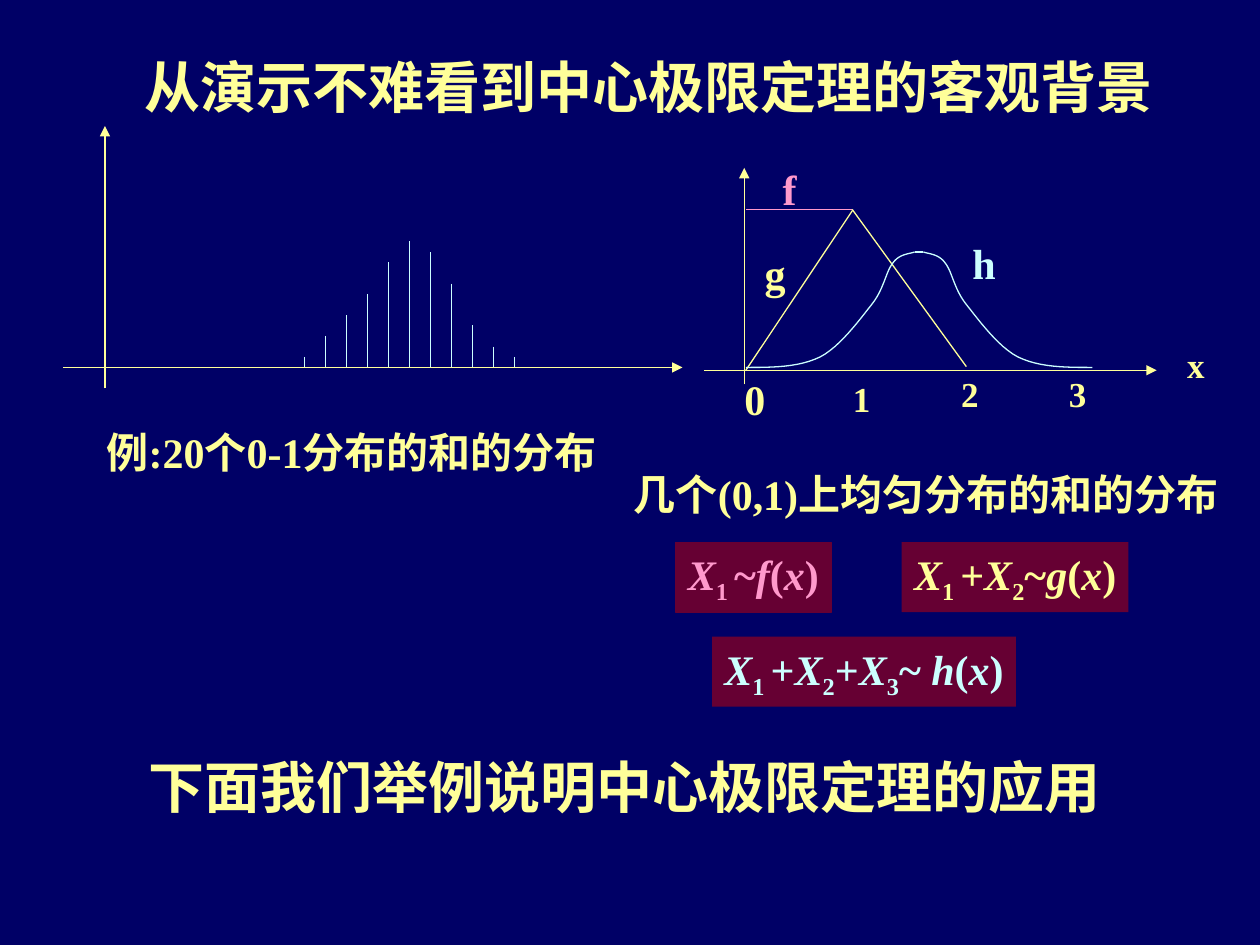
from lxml.etree import SubElement
from pptx import Presentation
from pptx.dml.color import RGBColor
from pptx.enum.shapes import MSO_CONNECTOR, MSO_SHAPE
from pptx.enum.text import MSO_ANCHOR, MSO_AUTO_SIZE, PP_ALIGN
from pptx.oxml.ns import qn
from pptx.util import Pt

NAVY = RGBColor(0x00, 0x00, 0x66)
YELLOW = RGBColor(0xFF, 0xFF, 0x99)
CYAN = RGBColor(0xCC, 0xFF, 0xFF)
PINK = RGBColor(0xFF, 0x99, 0xCC)
WINE = RGBColor(0x66, 0x00, 0x33)
FONT = "Times New Roman"
LINE_WIDTH = 0.75

# text, (left, top, width, height), size, colour
TEXTS = [
    ("从演示不难看到中心极限定理的客观背景", (53.7, 26, 634.5, 46), 32, YELLOW),
    ("下面我们举例说明中心极限定理的应用", (77.8, 426.2, 558.7, 46), 32, YELLOW),
    ("例:20个0-1分布的和的分布", (42.2, 240, 317.5, 36), 24, YELLOW),
    ("几个(0,1)上均匀分布的和的分布", (349.2, 264.4, 360, 36), 24, YELLOW),
    ("0", (418.3, 209.8, 26, 36), 24, YELLOW),
    ("1", (480.2, 212.2, 24.5, 31.5), 20, YELLOW),
    ("2", (542, 209, 24.5, 31.5), 20, YELLOW),
    ("3", (603.5, 209, 24.5, 31.5), 20, YELLOW),
    ("x", (671.2, 192.8, 24.5, 31.5), 20, YELLOW),
    ("f", (440, 90, 22.3, 36), 24, PINK),
    ("g", (430, 137.8, 26, 36), 24, YELLOW),
    ("h", (548.6, 132, 27.4, 36), 24, CYAN),
]

ITALIC, UPRIGHT, SUBSCRIPT = "italic", "upright", "subscript"
X = ("X", ITALIC)
PLUS = ("+", UPRIGHT)
ARGUMENT = [("(", UPRIGHT), ("x", ITALIC), (")", UPRIGHT)]

# runs, (left, top, width, height), colour, outlined
FORMULAS = [
    ([X, ("1 ", SUBSCRIPT), ("~", UPRIGHT), ("f", ITALIC)] + ARGUMENT,
     (386, 309.8, 89, 40), PINK, True),
    ([X, ("1 ", SUBSCRIPT), PLUS, X, ("2", SUBSCRIPT), ("~", UPRIGHT), ("g", ITALIC)] + ARGUMENT,
     (515.3, 309.8, 129.6, 40), YELLOW, False),
    ([X, ("1 ", SUBSCRIPT), PLUS, X, ("2", SUBSCRIPT), PLUS, X, ("3", SUBSCRIPT),
      ("~ ", UPRIGHT), ("h", ITALIC)] + ARGUMENT,
     (407, 363.8, 173.5, 40), CYAN, False),
]

# start, end
AXES = [
    ((36, 210), (390, 210)),
    ((60, 222), (60, 72)),
    ((402.4, 211.6), (661, 211.6)),
    ((425.3, 219.6), (425.3, 96)),
]
BASELINE = 210
FIRST_BAR, BAR_STEP = 174, 12
BAR_HEIGHTS = [6, 18, 30, 42, 60, 72, 66, 48, 24, 12, 6]

# start, end, colour
DENSITY_LINES = [
    ((426.2, 119.7), (487, 119.7), PINK),
    ((487.2, 120.2), (426.2, 211.6), YELLOW),
    ((487, 119.7), (552.2, 209.5), YELLOW),
    ((522.7, 144), (527.7, 144), CYAN),
]
# Left half of h: a start point, then three points for each cubic segment
H_CURVE = [
    (426.2, 210),
    (441.4, 210), (456.5, 210), (468.7, 204),
    (480.2, 198), (491, 183), (498.2, 174),
    (505.4, 165), (506.2, 155), (510.5, 150),
    (514, 145), (520.6, 145), (522.7, 144),
]
H_CENTER = 525.2
CURVE_STEPS = 12


def add_line(slide, start, end, color, arrow=False):
    line = slide.shapes.add_connector(
        MSO_CONNECTOR.STRAIGHT, *(Pt(value) for value in start + end))
    line.line.color.rgb = color
    line.line.width = Pt(LINE_WIDTH)
    if arrow:
        SubElement(line.line._get_or_add_ln(), qn("a:tailEnd"), type="triangle")
    SubElement(line._element.spPr, qn("a:effectLst"))


def sample_curve(controls):
    """Return points along a chain of cubic Bezier segments."""
    points = [controls[0]]
    for first in range(0, len(controls) - 1, 3):
        segment = controls[first:first + 4]
        for step in range(1, CURVE_STEPS + 1):
            t = step / CURVE_STEPS
            weights = ((1 - t) ** 3, 3 * t * (1 - t) ** 2, 3 * t * t * (1 - t), t ** 3)
            points.append(tuple(
                sum(weight * point[axis] for weight, point in zip(weights, segment))
                for axis in (0, 1)))
    return points


def add_curve(slide, points, color):
    points = [(Pt(x), Pt(y)) for x, y in points]
    builder = slide.shapes.build_freeform(*points[0])
    builder.add_line_segments(points[1:], close=False)
    curve = builder.convert_to_shape()
    curve.shadow.inherit = False
    curve.fill.background()
    curve.line.color.rgb = color
    curve.line.width = Pt(LINE_WIDTH)


def format_frame(text_frame):
    """Centre one unwrapped line in a box of fixed size."""
    text_frame.word_wrap = False
    text_frame.auto_size = MSO_AUTO_SIZE.NONE
    text_frame.margin_left = text_frame.margin_right = 0
    text_frame.vertical_anchor = MSO_ANCHOR.MIDDLE
    text_frame.paragraphs[0].alignment = PP_ALIGN.CENTER


def format_font(font, size, color):
    font.name = FONT
    font.size = Pt(size)
    font.bold = True
    font.color.rgb = color


def add_text(slide, text, box, size, color):
    text_frame = slide.shapes.add_textbox(*map(Pt, box)).text_frame
    text_frame.text = text
    format_frame(text_frame)
    format_font(text_frame.paragraphs[0].runs[0].font, size, color)


def add_formula(slide, runs, box, color, outlined):
    shape = slide.shapes.add_shape(MSO_SHAPE.RECTANGLE, *map(Pt, box))
    shape.shadow.inherit = False
    shape.fill.solid()
    shape.fill.fore_color.rgb = WINE
    if outlined:
        shape.line.color.rgb = WINE
        shape.line.width = Pt(LINE_WIDTH)
    else:
        shape.line.fill.background()
    format_frame(shape.text_frame)
    for text, style in runs:
        run = shape.text_frame.paragraphs[0].add_run()
        run.text = text
        format_font(run.font, 24, color)
        run.font.italic = style == ITALIC
        if style == SUBSCRIPT:
            run._r.get_or_add_rPr().set("baseline", "-25000")


def main():
    presentation = Presentation()
    presentation.slide_width, presentation.slide_height = Pt(720), Pt(540)
    slide = presentation.slides.add_slide(presentation.slide_layouts[6])
    slide.background.fill.solid()
    slide.background.fill.fore_color.rgb = NAVY

    for start, end in AXES:
        add_line(slide, start, end, YELLOW, arrow=True)
    for index, height in enumerate(BAR_HEIGHTS):
        x = FIRST_BAR + index * BAR_STEP
        add_line(slide, (x, BASELINE - height), (x, BASELINE), CYAN)
    for start, end, color in DENSITY_LINES:
        add_line(slide, start, end, color)

    left_half = sample_curve(H_CURVE)
    add_curve(slide, left_half, CYAN)
    add_curve(slide, [(2 * H_CENTER - x, y) for x, y in left_half], CYAN)

    for formula in FORMULAS:
        add_formula(slide, *formula)
    for text in TEXTS:
        add_text(slide, *text)
    presentation.save("out.pptx")


if __name__ == "__main__":
    main()
